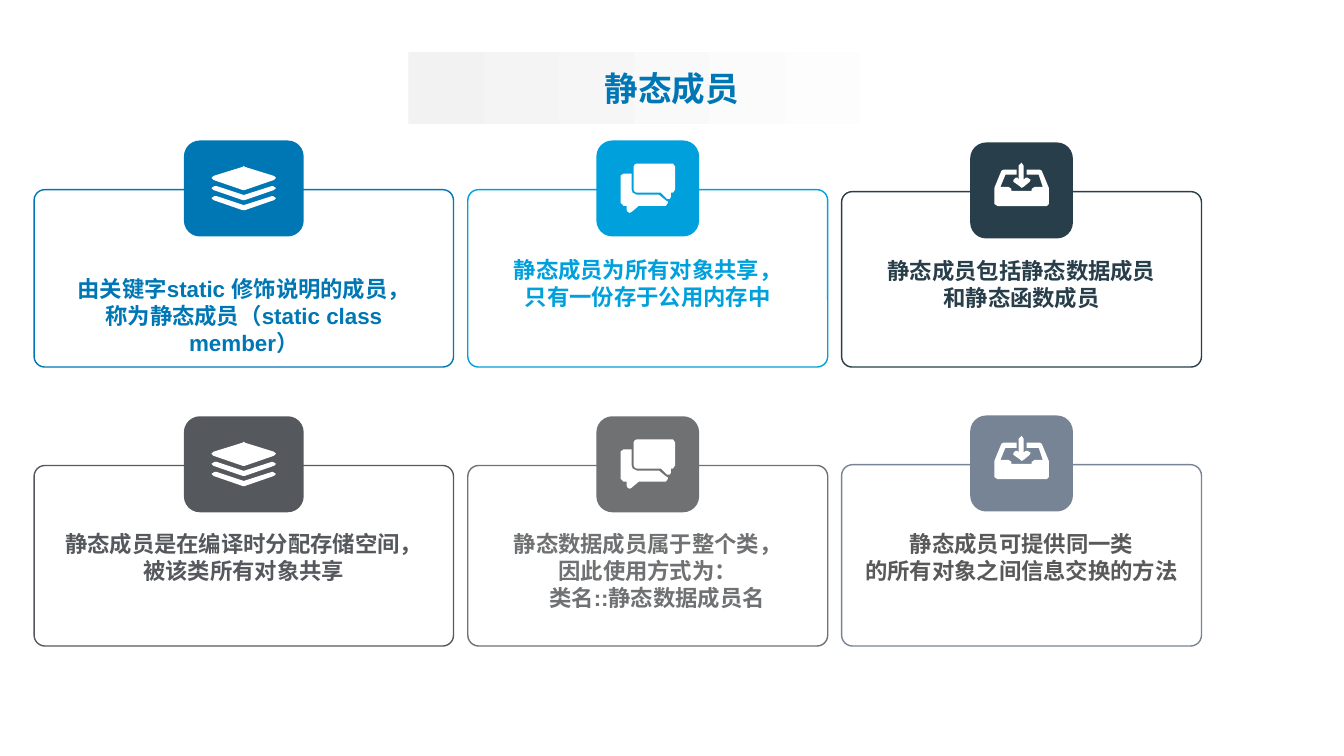
from dataclasses import dataclass

from lxml.etree import SubElement
from pptx import Presentation
from pptx.dml.color import RGBColor
from pptx.enum.shapes import MSO_SHAPE as Preset
from pptx.enum.text import MSO_ANCHOR as Anchor, MSO_AUTO_SIZE as AutoSize, PP_ALIGN as Align
from pptx.oxml.ns import qn
from pptx.util import Cm, Pt


@dataclass(frozen=True)
class Theme:
    """Colours, fonts and type sizes of the slide."""
    blue: str = "0077B5"
    sky: str = "00A0DC"
    navy: str = "283E4A"
    charcoal: str = "55595D"
    grey: str = "6F7173"
    slate: str = "778495"
    dim: str = "595959"
    white: str = "FFFFFF"
    pale: str = "F2F2F2"
    title_font: str = "Noto Sans CJK SC"
    body_font: str = "Arial"
    title_size: int = 24
    body_size: int = 16


@dataclass(frozen=True)
class Column:
    """Horizontal place, tab width and icon of the cards in one column."""
    left: float
    width: float
    tab_width: float
    icon: tuple
    icon_width: float
    icon_drop: float


@dataclass(frozen=True)
class Card:
    """Place, colours and wording of one card."""
    column: Column
    top: float
    bottom: float
    text_top: float
    colour: str
    text_colour: str
    lines: tuple


THEME = Theme()
ICON_UNIT = Cm(2.54) / 100
TAB_RISE = 1.24
TAB_HEIGHT = 2.42
TEXT_INSET = 0.45
FRAME_ROUNDING = 0.06
CODE_LINE_INDENT = Pt(13.3)

LAYERS = (
    ((62, 14), (33, 24), (31, 24), (2, 14), (0, 12), (2, 10), (31, 1), (32, 0),
     (33, 1), (62, 10), (64, 12)),
    *(((62, 24 + drop), (33, 34 + drop), (31, 34 + drop), (2, 24 + drop), (0, 22 + drop),
       (3, 20 + drop), (5, 20 + drop), (32, 29 + drop), (60, 20 + drop), (61, 20 + drop),
       (64, 22 + drop)) for drop in (0, 10)),
)
CHAT = (
    ((52, 29), (50, 29), (50, 33), (49, 35), (46, 35), (40, 29), (16, 29), (14, 28),
     (13, 26), (13, 3), (14, 1), (16, 0), (52, 0), (54, 3), (54, 26)),
    ((38, 31), (44, 36), (47, 38), (47, 39), (45, 42), (18, 42), (11, 48), (9, 49),
     (7, 48), (6, 46), (6, 42), (3, 42), (0, 39), (0, 12), (3, 10), (11, 10),
     (11, 26), (12, 29), (16, 31)),
)
INBOX = (
    ((52, 43), (3, 43), (0, 41), (0, 25), (7, 8), (9, 7), (22, 7), (22, 12), (11, 12),
     (6, 24), (14, 24), (17, 26), (17, 28), (37, 28), (37, 26), (40, 24), (48, 24),
     (44, 12), (32, 12), (32, 7), (45, 7), (47, 8), (54, 25), (54, 41)),
    ((36, 17), (35, 19), (29, 24), (27, 25), (26, 24), (19, 19), (19, 17), (21, 15),
     (23, 15), (24, 17), (24, 3), (27, 0), (29, 3), (29, 17), (31, 15), (33, 15)),
)

LEFT = Column(0.86, 10.57, 3.02, LAYERS, 1.63, 0.64)
MIDDLE = Column(11.79, 9.07, 2.59, CHAT, 1.37, 0.58)
RIGHT = Column(21.21, 9.07, 2.59, INBOX, 1.37, 0.51)

CARDS = (
    Card(LEFT, 4.78, 9.25, 6.93, THEME.blue, THEME.blue,
         ("由关键字static 修饰说明的成员，", "称为静态成员（static class member）")),
    Card(MIDDLE, 4.78, 9.25, 6.45, THEME.sky, THEME.sky,
         ("静态成员为所有对象共享，", "只有一份存于公用内存中")),
    Card(RIGHT, 4.83, 9.25, 6.48, THEME.navy, THEME.navy,
         ("静态成员包括静态数据成员", "和静态函数成员")),
    Card(LEFT, 11.73, 16.28, 13.36, THEME.charcoal, THEME.charcoal,
         ("静态成员是在编译时分配存储空间，", "被该类所有对象共享")),
    Card(MIDDLE, 11.73, 16.28, 13.36, THEME.grey, THEME.grey,
         ("静态数据成员属于整个类，", "因此使用方式为：", "类名::静态数据成员名")),
    Card(RIGHT, 11.71, 16.28, 13.36, THEME.slate, THEME.dim,
         ("静态成员可提供同一类", "的所有对象之间信息交换的方法")),
)


def rgb(colour):
    """Return a hex colour as an RGBColor."""
    return RGBColor.from_string(colour)


def format_text(frame, font_name, size, colour):
    """Centre every paragraph and format its runs in bold."""
    for paragraph in frame.paragraphs:
        paragraph.alignment = Align.CENTER
        for run in paragraph.runs:
            run.font.name = font_name
            run.font.size = Pt(size)
            run.font.bold = True
            run.font.color.rgb = rgb(colour)
            SubElement(run.font._element, qn("a:ea"), typeface=font_name)


def add_title(slide, text):
    """Turn the title placeholder into a rounded bar with a fading fill."""
    title = slide.shapes.title
    title.left, title.top, title.width, title.height = Cm(10.29), Cm(1.3), Cm(13.28), Cm(1.83)
    outline = SubElement(title.element.spPr, qn("a:prstGeom"), prst="roundRect")
    guides = SubElement(outline, qn("a:avLst"))
    SubElement(guides, qn("a:gd"), name="adj", fmla="val 42300")
    title.fill.gradient()
    title.fill.gradient_angle = 0
    for stop, colour in zip(title.fill.gradient_stops, (THEME.pale, THEME.white)):
        stop.color.rgb = rgb(colour)
    frame = title.text_frame
    frame.text = text
    frame.auto_size = AutoSize.NONE
    frame.vertical_anchor = Anchor.MIDDLE
    format_text(frame, THEME.title_font, THEME.title_size, THEME.blue)


def add_frame(shapes, card):
    """Draw the outlined body of a card."""
    column = card.column
    frame = shapes.add_shape(Preset.ROUNDED_RECTANGLE, Cm(column.left), Cm(card.top),
                             Cm(column.width), Cm(card.bottom - card.top))
    frame.adjustments[0] = FRAME_ROUNDING
    frame.shadow.inherit = False
    frame.fill.background()
    frame.line.color.rgb = rgb(card.colour)
    frame.line.width = Pt(1)


def add_tab(shapes, card):
    """Draw the filled tab over the top edge of a card."""
    column = card.column
    tab = shapes.add_shape(Preset.ROUNDED_RECTANGLE,
                           Cm(column.left + (column.width - column.tab_width) / 2),
                           Cm(card.top - TAB_RISE), Cm(column.tab_width), Cm(TAB_HEIGHT))
    tab.shadow.inherit = False
    tab.fill.solid()
    tab.fill.fore_color.rgb = rgb(card.colour)
    tab.line.fill.background()


def add_icon(shapes, card):
    """Draw the white icon on the tab of a card."""
    column = card.column
    first, *others = column.icon
    builder = shapes.build_freeform(*first[0], scale=ICON_UNIT)
    builder.add_line_segments(first[1:], close=True)
    for contour in others:
        builder.move_to(*contour[0])
        builder.add_line_segments(contour[1:], close=True)
    icon = builder.convert_to_shape(Cm(column.left + (column.width - column.icon_width) / 2),
                                    Cm(card.top - TAB_RISE + column.icon_drop))
    icon.shadow.inherit = False
    icon.fill.solid()
    icon.fill.fore_color.rgb = rgb(THEME.white)
    icon.line.fill.background()


def add_statement(shapes, card):
    """Write the centred wording of a card."""
    column = card.column
    statement = shapes.add_textbox(Cm(column.left + TEXT_INSET), Cm(card.text_top),
                                   Cm(column.width - 2 * TEXT_INSET), Cm(2.2))
    frame = statement.text_frame
    frame.margin_left = frame.margin_right = frame.margin_top = frame.margin_bottom = 0
    frame.word_wrap = False
    frame.text = "\n".join(card.lines)
    format_text(frame, THEME.body_font, THEME.body_size, card.text_colour)
    for paragraph in frame.paragraphs:
        if "::" in paragraph.text:
            paragraph._p.get_or_add_pPr().set("marL", str(CODE_LINE_INDENT))


def main():
    """Build the slide and save it."""
    deck = Presentation()
    deck.slide_width, deck.slide_height = Cm(33.87), Cm(19.05)
    slide = deck.slides.add_slide(deck.slide_layouts[5])
    add_title(slide, "静态成员")
    for card in CARDS:
        shapes = slide.shapes.add_group_shape().shapes
        for add_part in (add_frame, add_tab, add_icon, add_statement):
            add_part(shapes, card)
    deck.save("out.pptx")


if __name__ == "__main__":
    main()
